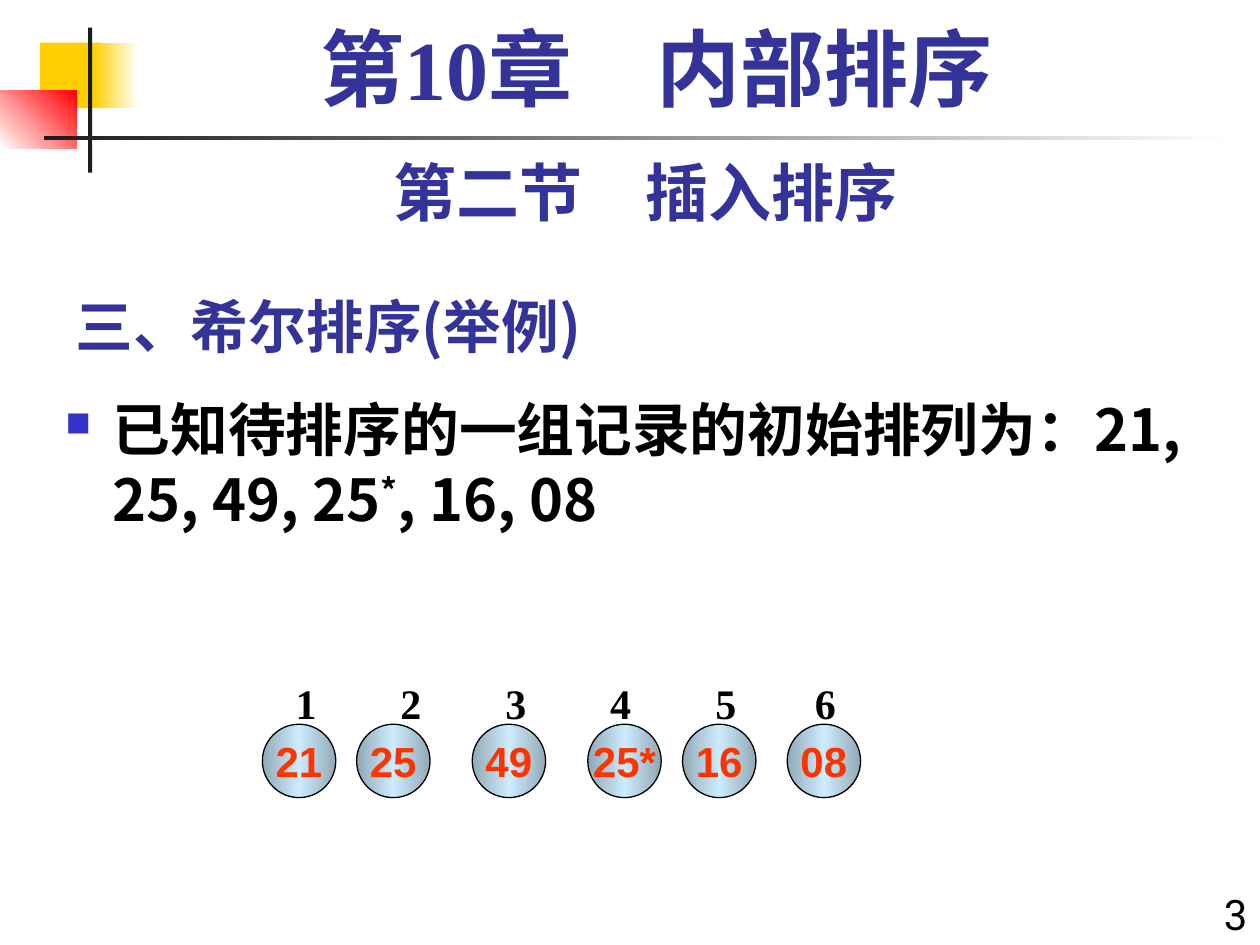
from copy import deepcopy

from lxml import etree
from pptx import Presentation
from pptx.dml.color import RGBColor
from pptx.enum.shapes import MSO_SHAPE
from pptx.enum.text import MSO_ANCHOR, PP_ALIGN
from pptx.oxml.ns import qn
from pptx.util import Cm, Pt

RECTANGLE = MSO_SHAPE.RECTANGLE
OVAL = MSO_SHAPE.OVAL
LEFT, CENTER, RIGHT = PP_ALIGN.LEFT, PP_ALIGN.CENTER, PP_ALIGN.RIGHT
TOP, MIDDLE, BOTTOM = MSO_ANCHOR.TOP, MSO_ANCHOR.MIDDLE, MSO_ANCHOR.BOTTOM

CHINESE_FONT = "Noto Sans CJK SC"
SERIF_FONT = "Times New Roman"
NAVY, BLACK, WHITE = "333399", "000000", "FFFFFF"
YELLOW, RED, CHARCOAL = "FFCF01", "FF0000", "1C1C1C"
STEEL, ICE, ORANGE, BULLET_BLUE = "92A9B6", "CCECFF", "FF3300", "3333CC"


def color(value):
    return RGBColor.from_string(value)


def fill_shape(shape, colors, angle=0):
    if len(colors) == 1:
        shape.fill.solid()
        shape.fill.fore_color.rgb = color(colors[0])
        return
    shape.fill.gradient()
    shape.fill.gradient_angle = angle
    stop_list = next(shape._element.spPr.iter(qn("a:gsLst")))
    while len(stop_list) < len(colors):
        stop_list.append(deepcopy(stop_list[-1]))
    for index, (stop, value) in enumerate(zip(shape.fill.gradient_stops, colors)):
        stop.color.rgb = color(value)
        stop.position = index / (len(colors) - 1)


def add_filled_shape(slide, kind, box, colors, angle=0):
    shape = slide.shapes.add_shape(kind, *map(Cm, box))
    shape.shadow.inherit = False
    fill_shape(shape, colors, angle)
    shape.line.fill.background()
    return shape


def add_run(paragraph, text, size, font, value, bold=True):
    run = paragraph.add_run()
    run.text = text
    run.font.size = Pt(size)
    run.font.name = font
    run.font.bold = bold
    run.font.color.rgb = color(value)
    properties = run._r.get_or_add_rPr()
    etree.SubElement(properties, qn("a:ea"), typeface=CHINESE_FONT)
    return run


def add_text(slide, box, alignment=LEFT, anchor=TOP):
    frame = slide.shapes.add_textbox(*map(Cm, box)).text_frame
    frame.word_wrap = True
    frame.vertical_anchor = anchor
    paragraph = frame.paragraphs[0]
    paragraph.alignment = alignment
    return paragraph


def add_decoration(slide, left, top):
    parts = [
        (0.81, 0.3, 1.22, 1.32, [YELLOW], 0),
        (1.88, 0.3, 0.91, 1.32, [YELLOW, WHITE], 0),
        (0, 1.27, 1.55, 1.17, [WHITE, RED], 45),
        (1.78, 0, 0.08, 2.92, [CHARCOAL], 0),
        (0.89, 2.18, 23.98, 0.08, [CHARCOAL, WHITE], 0),
    ]
    for x, y, width, height, colors, angle in parts:
        box = (left + x, top + y, width, height)
        add_filled_shape(slide, RECTANGLE, box, colors, angle)


def add_headings(slide, left, top):
    chapter = add_text(slide, (left + 0.43, top, 23.06, 2.31), CENTER)
    chapter.line_spacing = 0.9
    add_run(chapter, "第10章\u3000内部排序".replace("\u3000", "　"), 48, SERIF_FONT, NAVY)
    section = add_text(slide, (left, top + 2.54, 23.5, 1.78), CENTER)
    add_run(section, "第二节　插入排序", 36, "Roboto", NAVY)
    topic = add_text(slide, (left, top + 5.08, 15.88, 1.88), LEFT, BOTTOM)
    add_run(topic, "三、希尔排序(举例)", 33, CHINESE_FONT, NAVY)


def add_statement(slide, box):
    paragraph = add_text(slide, box)
    properties = paragraph._p.get_or_add_pPr()
    properties.set("marL", str(Cm(0.95)))
    properties.set("indent", str(Cm(-0.95)))
    bullet_color = etree.SubElement(properties, qn("a:buClr"))
    etree.SubElement(bullet_color, qn("a:srgbClr"), val=BULLET_BLUE)
    etree.SubElement(properties, qn("a:buSzPct"), val="60000")
    etree.SubElement(properties, qn("a:buChar"), char="■")
    add_run(paragraph, "已知待排序的一组记录的初始排列为：21, 25, 49, 25", 33, CHINESE_FONT, BLACK)
    star = add_run(paragraph, "*", 33, CHINESE_FONT, BLACK)
    star._r.get_or_add_rPr().set("baseline", "30000")
    add_run(paragraph, ", 16, 08", 33, CHINESE_FONT, BLACK)


def add_records(slide, left, top):
    labels = add_text(slide, (left + 0.42, top, 12.27, 1.27))
    tab_list = etree.SubElement(labels._p.get_or_add_pPr(), qn("a:tabLst"))
    for position in (2.11, 4.23, 6.34, 8.46, 10.47):
        etree.SubElement(tab_list, qn("a:tab"), pos=str(Cm(position)), algn="l")
    add_run(labels, "1\t2\t3\t4\t5\t6", 24, SERIF_FONT, BLACK)

    offsets = (0, 1.9, 4.23, 6.56, 8.47, 10.58)
    records = ("21", "25", "49", "25*", "16", "08")
    for offset, record in zip(offsets, records):
        box = (left + offset, top + 1.06, 1.48, 1.48)
        circle = add_filled_shape(slide, OVAL, box, [STEEL, ICE, STEEL])
        circle.line.color.rgb = color(BLACK)
        circle.line.width = Pt(0.75)
        frame = circle.text_frame
        frame.word_wrap = False
        frame.vertical_anchor = MIDDLE
        paragraph = frame.paragraphs[0]
        paragraph.alignment = CENTER
        add_run(paragraph, record, 24, "Arial", ORANGE)


def add_page_number(slide, box):
    paragraph = add_text(slide, box, RIGHT)
    add_run(paragraph, "3", 24, "Roboto", BLACK, False)


def main():
    presentation = Presentation()
    presentation.slide_width = Cm(25.4)
    presentation.slide_height = Cm(19.05)
    slide = presentation.slides.add_slide(presentation.slide_layouts[6])
    add_decoration(slide, 0, 0.56)
    add_headings(slide, 1.27, 0.43)
    add_page_number(slide, (23.7, 17.78, 1.7, 1.27))
    add_statement(slide, (1.07, 7.82, 24.33, 11.23))
    add_records(slide, 5.29, 13.54)
    presentation.save("out.pptx")


if __name__ == "__main__":
    main()
